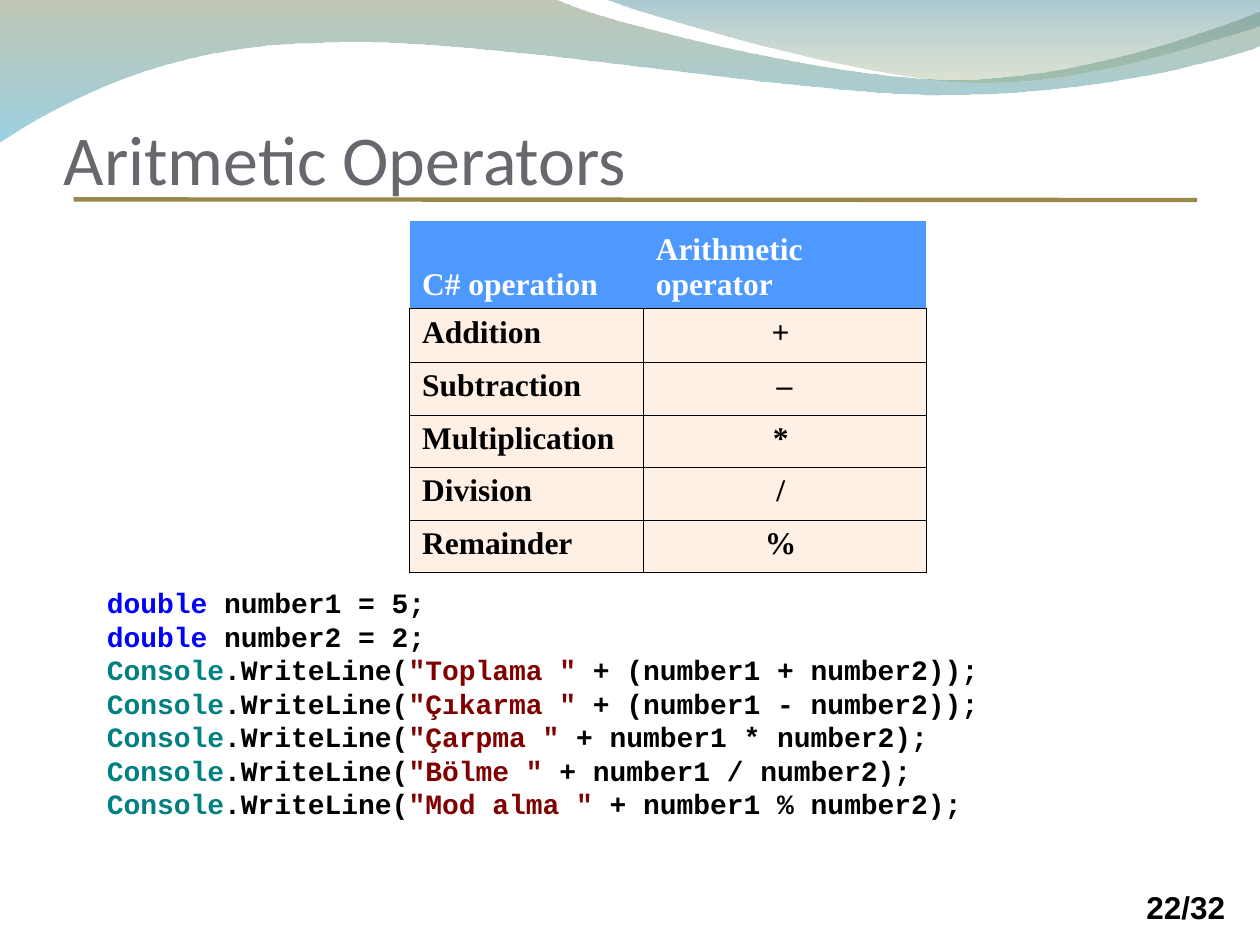
from pptx import Presentation, util as u
from pptx.dml.color import RGBColor
from pptx.enum import shapes, text
from pptx.oxml import ns
from lxml import etree

TITLE = "Aritmetic Operators"
PAGE = "22/32"
HEAD = ("C# operation", "Arithmetic operator")
OPS = [
    ("Addition", "+ "),
    ("Subtraction", "–"),
    ("Multiplication", "* "),
    ("Division", "/ "),
    ("Remainder", "% "),
]
VARS = [" number1 = 5;", " number2 = 2;"]
CALLS = [
    ('"Toplama "', " + (number1 + number2));"),
    ('"Çıkarma "', " + (number1 - number2));"),
    ('"Çarpma "', " + number1 * number2);"),
    ('"Bölme "', " + number1 / number2);"),
    ('"Mod alma "', " + number1 % number2);"),
]
THEME = {
    "title": "69676D", "rule": "988848", "ink": "000000", "white": "FFFFFF",
    "head": "4D99FF", "body": "FFF0E5",
    "key": "0000FF", "type": "008080", "str": "800000",
    "sans": "Calibri", "page": "Arial", "serif": "Times New Roman",
    "mono": "Courier New",
    "big": 40, "mid": 18, "code": 16, "line": 2.5, "edge": 0.45,
}
WAVES = [
    {
        "start": (0, -0.04),
        "steps": [
            [(17.6, -0.04)],
            [(19.04, 0.68), (26.56, 2.52), (30.32, 2.52)],
            [(34.12, 2.52), (38.32, 1.04), (40, 0.36)],
            [(40.04, 1.44)],
            [(39.32, 1.76), (34.8, 3.04), (29.84, 3)],
            [(24.88, 3), (15.28, 1.12), (10.28, 1.36)],
            [(5.16, 1.4), (1.84, 3.32), (-0.04, 4.52)],
        ],
        "stops": [("72845C", 45), ("49ACCD", 55)],
    },
    {
        "start": (19.16, -0.04),
        "steps": [
            [(20.36, 0.44), (27.28, 2.48), (30.76, 2.6)],
            [(34.24, 2.76), (38.44, 1.28), (40, 0.84)],
            [(40, 0)],
        ],
        "stops": [("42869E", 45), ("8AA26C", 30)],
    },
]
COLS, ROWS = 40, 30
UNIT = u.Inches(0.25)


def grid(*vals):
    return [round(v * UNIT) for v in vals]


def hue(name):
    return RGBColor.from_string(THEME.get(name, name))


def write(frame, lines, font, size, color="ink", bold=True, align=None,
          anchor=None, inset=None, grow=False):
    frame.word_wrap = True
    if grow:
        frame.auto_size = text.MSO_AUTO_SIZE.SHAPE_TO_FIT_TEXT
    if anchor:
        frame.vertical_anchor = anchor
    if inset:
        (frame.margin_left, frame.margin_top,
         frame.margin_right, frame.margin_bottom) = grid(*inset)
    if isinstance(lines, str):
        lines = [[(lines, color)]]
    for i, line in enumerate(lines):
        para = frame.add_paragraph() if i else frame.paragraphs[0]
        para.alignment = align
        for words, tint in line:
            run = para.add_run()
            run.text = words
            run.font.name = THEME[font]
            run.font.size = u.Pt(THEME[size])
            run.font.bold = bold
            run.font.color.rgb = hue(tint)


def curve(shape, steps):
    lines = list(shape.element.spPr.iter(ns.qn("a:lnTo")))
    for line, step in zip(lines, steps):
        if len(step) == 3:
            bend = etree.Element(ns.qn("a:cubicBezTo"))
            for dot in step:
                x, y = grid(*dot)
                etree.SubElement(bend, ns.qn("a:pt"), x=str(x - shape.left),
                                 y=str(y - shape.top))
            line.getparent().replace(line, bend)


def wave(slide, start, steps, stops):
    pen = slide.shapes.build_freeform(*grid(*start))
    pen.add_line_segments([grid(*step[-1]) for step in steps], close=True)
    shape = pen.convert_to_shape()
    curve(shape, steps)
    shape.shadow.inherit = False
    shape.line.fill.background()
    shape.fill.gradient()
    shape.fill.gradient_angle = 270
    for stop, (tint, _) in zip(shape.fill.gradient_stops, stops):
        stop.color.rgb = hue(tint)
    marks = shape.element.spPr.iter(ns.qn("a:srgbClr"))
    for mark, (_, share) in zip(marks, stops):
        etree.SubElement(mark, ns.qn("a:alpha"), val=str(share * 1000))


def edge(cell, sides):
    prop = cell._tc.get_or_add_tcPr()
    for side in "LRTB":
        line = etree.SubElement(prop, ns.qn("a:ln" + side),
                                w=str(u.Pt(THEME["edge"])))
        if side in sides:
            fill = etree.SubElement(line, ns.qn("a:solidFill"))
            etree.SubElement(fill, ns.qn("a:srgbClr"), val=THEME["ink"])
        else:
            etree.SubElement(line, ns.qn("a:noFill"))


def table(slide):
    data = [HEAD] + OPS
    wide, high = [7.42, 8.98], [2.8, 1.7] + [1.67] * (len(OPS) - 1)
    tab = slide.shapes.add_table(
        len(data), len(HEAD), *grid(13, 7, sum(wide), sum(high))).table
    tab.first_row = tab.horz_banding = False
    for col, size in zip(tab.columns, grid(*wide)):
        col.width = size
    for row, size in zip(tab.rows, grid(*high)):
        row.height = size
    for r, row in enumerate(data):
        for c, words in enumerate(row):
            cell = tab.cell(r, c)
            edge(cell, "LRTB" if r else "B")
            cell.fill.solid()
            cell.fill.fore_color.rgb = hue("body" if r else "head")
            if not r:
                cell.vertical_anchor = text.MSO_ANCHOR.BOTTOM
            write(cell.text_frame, words, "serif", "mid",
                  color="ink" if r else "white",
                  align=text.PP_ALIGN.CENTER if r and c else None)


def label(slide, place, lines, **form):
    box = slide.shapes.add_textbox(*grid(*place))
    write(box.text_frame, lines, **form)


def main():
    deck = Presentation()
    deck.slide_width, deck.slide_height = grid(COLS, ROWS)
    slide = deck.slides.add_slide(deck.slide_layouts[6])
    for item in WAVES:
        wave(slide, **item)
    rule = slide.shapes.add_connector(
        shapes.MSO_CONNECTOR.STRAIGHT, *grid(2.34, 6.33, 38, 6.35))
    rule.line.color.rgb = hue("rule")
    rule.line.width = u.Pt(THEME["line"])
    etree.SubElement(rule._element.spPr, ns.qn("a:effectLst"))
    label(slide, (36, 28, 3.68, 4), PAGE, font="page", size="mid", grow=True)
    label(slide, (2.02, 1.32, 36, 5), TITLE, font="sans", size="big",
          color="title", bold=False, anchor=text.MSO_ANCHOR.BOTTOM,
          inset=(0, 0.2, 0, 0))
    table(slide)
    code = [[("double", "key"), (rest, "ink")] for rest in VARS]
    code += [[("Console", "type"), (".WriteLine(", "ink"),
              (word, "str"), (rest, "ink")] for word, rest in CALLS]
    label(slide, (3, 18.38, 35, 7.88), code, font="mono", size="code",
          anchor=text.MSO_ANCHOR.MIDDLE, grow=True)
    deck.save("out.pptx")


if __name__ == "__main__":
    main()
